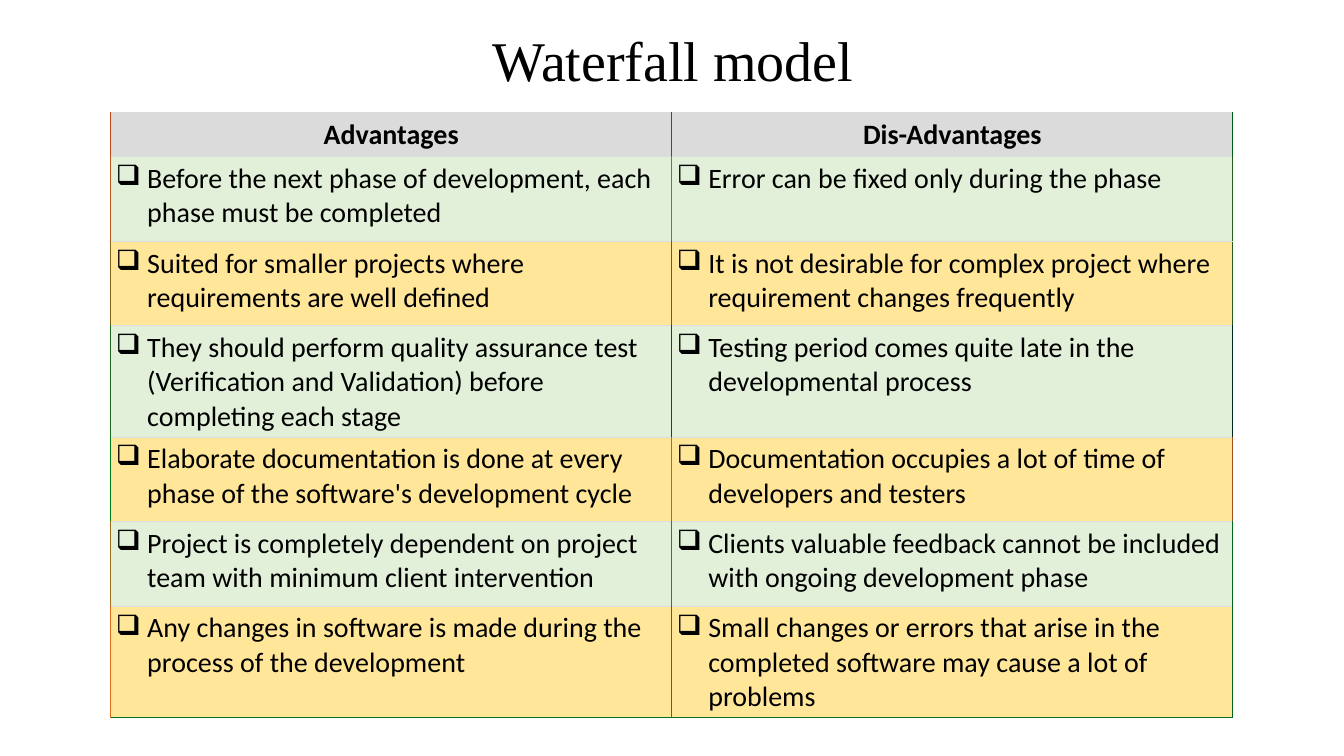
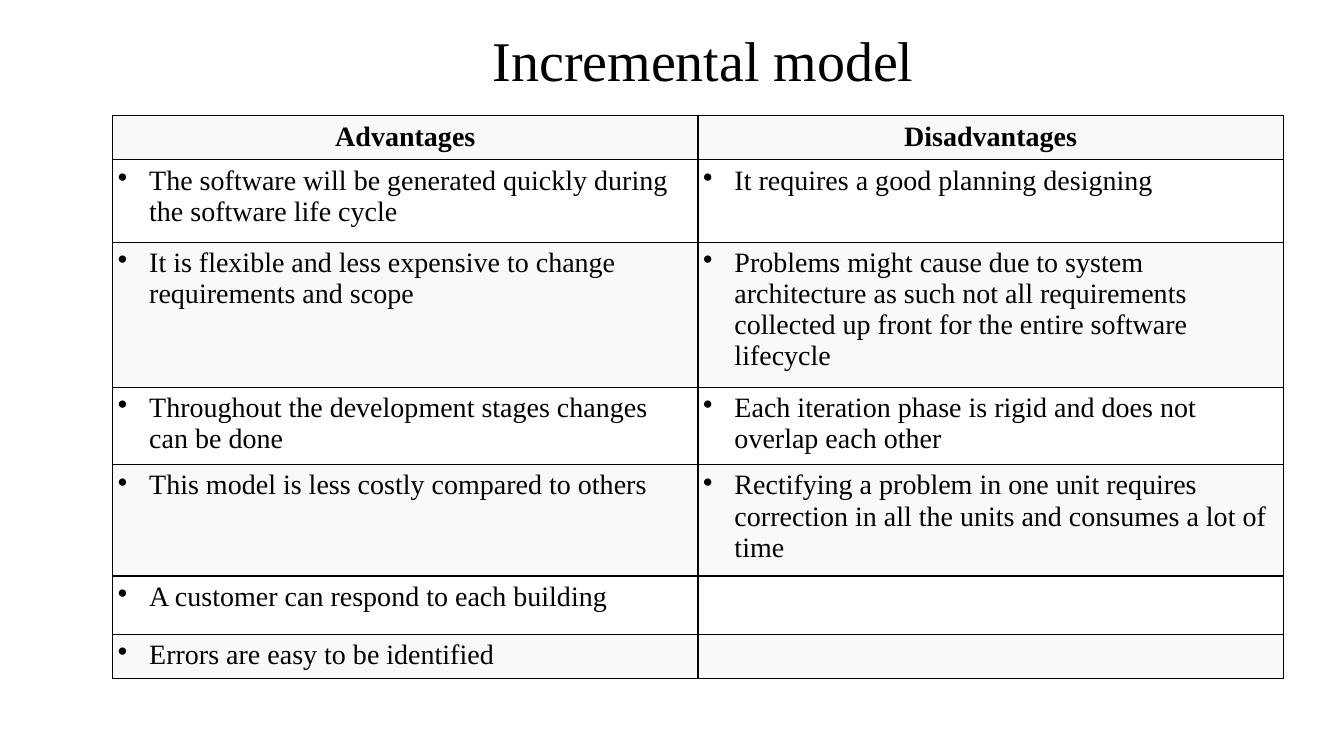
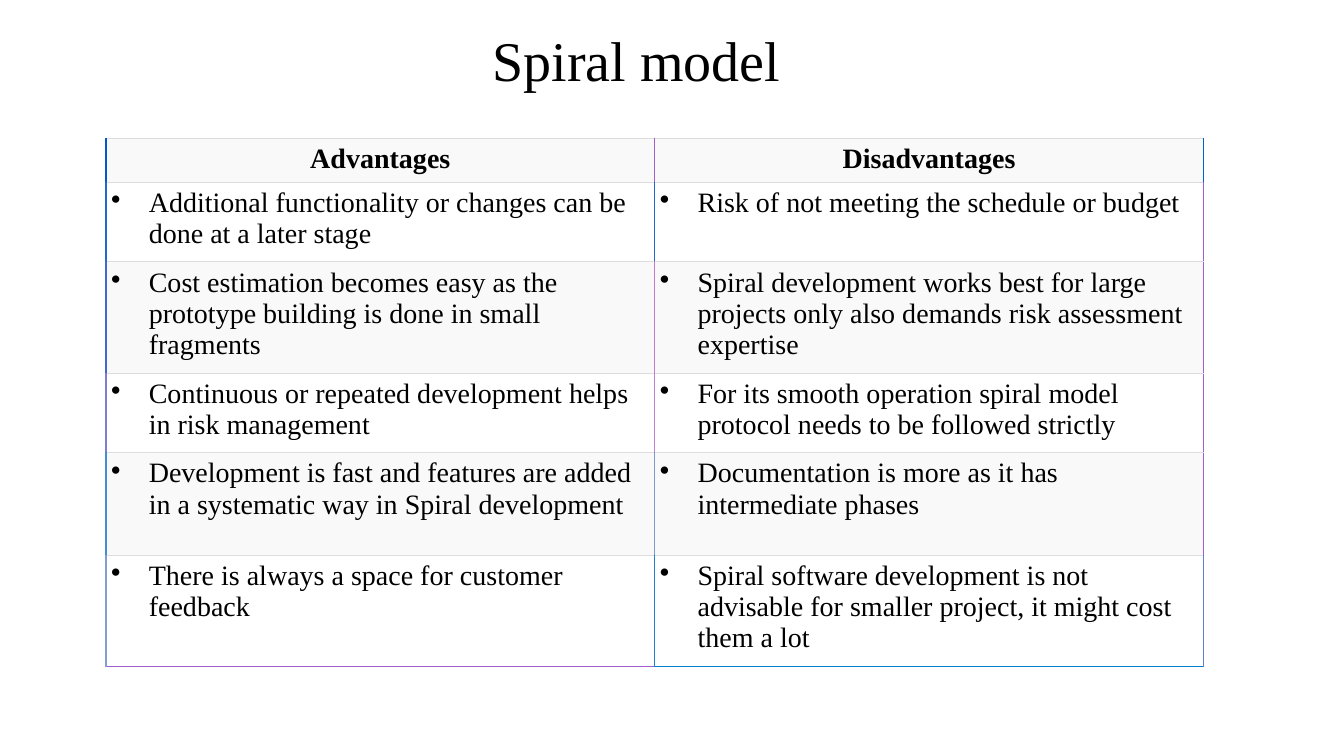
from dataclasses import dataclass
from typing import NamedTuple

from pptx import Presentation
from pptx.dml.color import RGBColor
from pptx.enum import text
from pptx.oxml.ns import qn
from pptx.util import Cm, Pt
from lxml import etree

BLACK = RGBColor(0x00, 0x00, 0x00)
WHITE = RGBColor(0xFF, 0xFF, 0xFF)
PALE = RGBColor(0xF9, 0xF9, 0xF9)
RULE = RGBColor(0xDD, 0xDD, 0xDD)
GREY = RGBColor(0xDB, 0xDB, 0xDB)
GREEN = RGBColor(0xE2, 0xF0, 0xD9)
YELLOW = RGBColor(0xFF, 0xE6, 0x99)

SERIF = "Times New Roman"
SANS = "Calibri"
INSET = Cm(0.13)
THICK, THIN = Pt(1), Pt(0.6)


def hues(codes: str) -> list[RGBColor]:
    return [RGBColor.from_string(code) for code in codes.split()]


# Upright edges of each row (left, middle, right), header first.
EARTH = [hues(row) for row in (
    "C0461C 40581C 005B1C",
    "C05A1C C0571C 205C1C",
    "80621C 60641C 205C1C",
    "20661C 60291C 00281C",
    "00801C E0541C A0501C",
    "A0701C 606D1C 00681C",
    "E06F1C 40751C 00661C",
)]
EARTH_FOOT = hues("00741C 00711C")
OCEAN = [hues(row) for row in (
    "0058CF A05ECF 0060CF",
    "2067CF 2067CF A05ECF",
    "4068CF C07BCF A05ECF",
    "807CCF C080CF A05ECF",
    "408FCF 8096CF A05ECF",
    "809ECF 207FCF 607FCF",
)]
OCEAN_FOOT = hues("A05ECF 007ECF")
INK = [[BLACK] * 3] * 7
INK_FOOT = [BLACK] * 2


class Row(NamedTuple):
    high: float
    pro: str
    con: str


@dataclass
class Model:
    """One slide: a title and its two-column table; lengths in cm."""
    title: str
    left: float
    top: float
    wide: float
    rows: list[Row]
    sides: list[list[RGBColor]]
    foot: list[RGBColor]
    head: RGBColor
    bands: tuple[RGBColor, RGBColor]
    rule: RGBColor = RULE
    thin: int = THIN
    font: str = SERIF
    mark: str = "•"
    dent: float = 0.79


MODELS = [
    Model("Waterfall model", 2.79, 2.84, 14.14, [
        Row(0.97, "Advantages", "Dis-Advantages"),
        Row(2.13, "Before the next phase of development, each phase must be completed",
            "Error can be fixed only during the phase"),
        Row(2.13, "Suited for smaller projects where requirements are well defined",
            "It is not desirable for complex project where requirement changes frequently"),
        Row(2.77, "They should perform quality assurance test (Verification and Validation) "
            "before completing each stage",
            "Testing period comes quite late in the developmental process"),
        Row(2.13, "Elaborate documentation is done at every phase of the software's "
            "development cycle",
            "Documentation occupies a lot of time of developers and testers"),
        Row(2.13, "Project is completely dependent on project team with minimum client "
            "intervention",
            "Clients valuable feedback cannot be included with ongoing development phase"),
        Row(2.13, "Any changes in software is made during the process of the development",
            "Small changes or errors that arise in the completed software may cause "
            "a lot of problems"),
    ], EARTH, EARTH_FOOT, GREY, (GREEN, YELLOW), font=SANS, mark="❑"),
    Model("Incremental model", 2.84, 2.92, 14.75, [
        Row(0.86, "Advantages", "Disadvantages"),
        Row(2.08, "The software will be generated quickly during the software life cycle",
            "It requires a good planning designing"),
        Row(3.28, "It is flexible and less expensive to change requirements and scope",
            "Problems might cause due to system architecture as such not all requirements "
            "collected up front for the entire software lifecycle"),
        Row(1.47, "Throughout the development stages changes can be done",
            "Each iteration phase is rigid and does not overlap each other"),
        Row(2.08, "This model is less costly compared to others",
            "Rectifying a problem in one unit requires correction in all the units "
            "and consumes a lot of time"),
        Row(1.47, "A customer can respond to each building", ""),
        Row(0.86, "Errors are easy to be identified", ""),
    ], INK, INK_FOOT, PALE, (WHITE, PALE), rule=BLACK, thin=THICK),
    Model("Spiral model", 2.67, 3.48, 13.83, [
        Row(0.84, "Advantages", "Disadvantages"),
        Row(2.01, "Additional functionality or changes can be done at a later stage",
            "Risk of not meeting the schedule or budget"),
        Row(2.59, "Cost estimation becomes easy as the prototype building is done in "
            "small fragments",
            "Spiral development works best for large projects only also demands risk "
            "assessment expertise"),
        Row(2.01, "Continuous or repeated development helps in risk management",
            "For its smooth operation spiral model protocol needs to be followed strictly"),
        Row(2.59, "Development is fast and features are added in a systematic way in "
            "Spiral development",
            "Documentation is more as it has intermediate phases"),
        Row(2.01, "There is always a space for customer feedback",
            "Spiral software development is not advisable for smaller project, it might "
            "cost them a lot"),
    ], OCEAN, OCEAN_FOOT, PALE, (WHITE, PALE), dent=0.95),
]


def style(para, font: str, size: int, bold: bool = False) -> None:
    for run in para.runs:
        run.font.name = font
        run.font.size = Pt(size)
        run.font.bold = bold
        run.font.color.rgb = BLACK


def bullet(para, mark: str, dent: float) -> None:
    props = para._p.get_or_add_pPr()
    props.set("marL", str(Cm(dent)))
    props.set("indent", str(-Cm(dent)))
    etree.SubElement(props, qn("a:buChar")).set("char", mark)


def edge(cell, side: str, hue: RGBColor, width: int) -> None:
    """Draw one cell border; call in the order L, R, T, B, before the fill."""
    line = etree.SubElement(cell._tc.get_or_add_tcPr(), qn(f"a:ln{side}"))
    line.set("w", str(width))
    fill = etree.SubElement(line, qn("a:solidFill"))
    etree.SubElement(fill, qn("a:srgbClr")).set("val", str(hue))


def add_title(slide, words: str) -> None:
    frame = slide.shapes.add_textbox(Cm(12.17), Cm(0.38), Cm(12.55), Cm(2.46)).text_frame
    frame.word_wrap = True
    frame.vertical_anchor = text.MSO_ANCHOR.MIDDLE
    frame.text = words
    para = frame.paragraphs[0]
    para.line_spacing = 0.9
    style(para, SERIF, 40)


def fill_cell(cell, model: Model, r: int, c: int) -> None:
    cell.margin_left = cell.margin_right = INSET
    cell.margin_top = cell.margin_bottom = INSET
    last = r == len(model.rows) - 1
    edge(cell, "L", model.sides[r][c], THICK)
    edge(cell, "R", model.sides[r][c + 1], THICK)
    edge(cell, "T", model.rule, model.thin)
    edge(cell, "B", model.foot[c] if last else model.rule, THICK if last else model.thin)
    cell.fill.solid()
    cell.fill.fore_color.rgb = model.bands[(r - 1) % 2] if r else model.head

    words = (model.rows[r].pro, model.rows[r].con)[c]
    if not words:
        return
    cell.text_frame.text = words
    para = cell.text_frame.paragraphs[0]
    style(para, model.font, 20, bold=r == 0)
    if r:
        bullet(para, model.mark, model.dent)
    else:
        para.alignment = text.PP_ALIGN.CENTER


def add_grid(slide, model: Model) -> None:
    high = sum(row.high for row in model.rows)
    grid = slide.shapes.add_table(len(model.rows), 2, Cm(model.left), Cm(model.top),
                                  Cm(2 * model.wide), Cm(high)).table
    grid.first_row = grid.horz_banding = False
    for r, row in enumerate(model.rows):
        grid.rows[r].height = Cm(row.high)
        for c in range(2):
            fill_cell(grid.cell(r, c), model, r, c)


def main() -> None:
    deck = Presentation()
    deck.slide_width, deck.slide_height = Cm(33.87), Cm(19.05)
    for model in MODELS:
        slide = deck.slides.add_slide(deck.slide_layouts[6])
        add_title(slide, model.title)
        add_grid(slide, model)
    deck.save("out.pptx")


if __name__ == "__main__":
    main()
